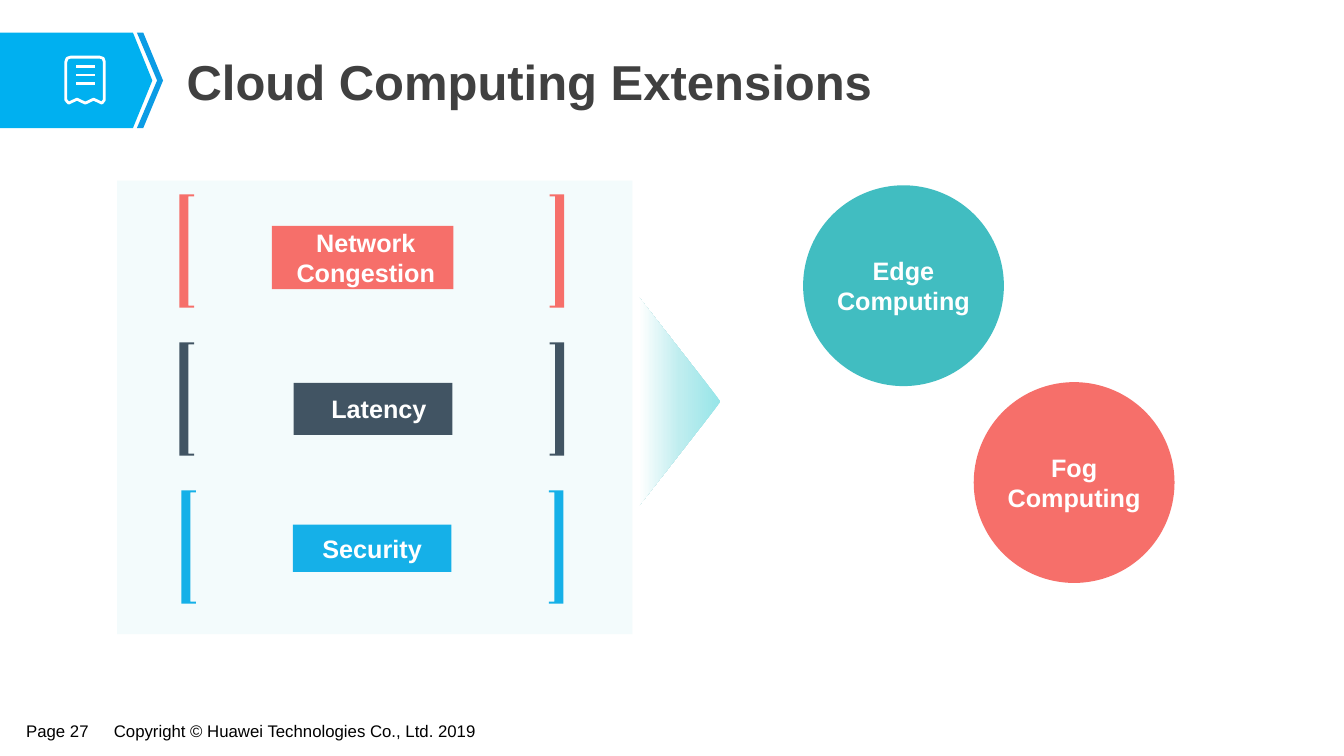
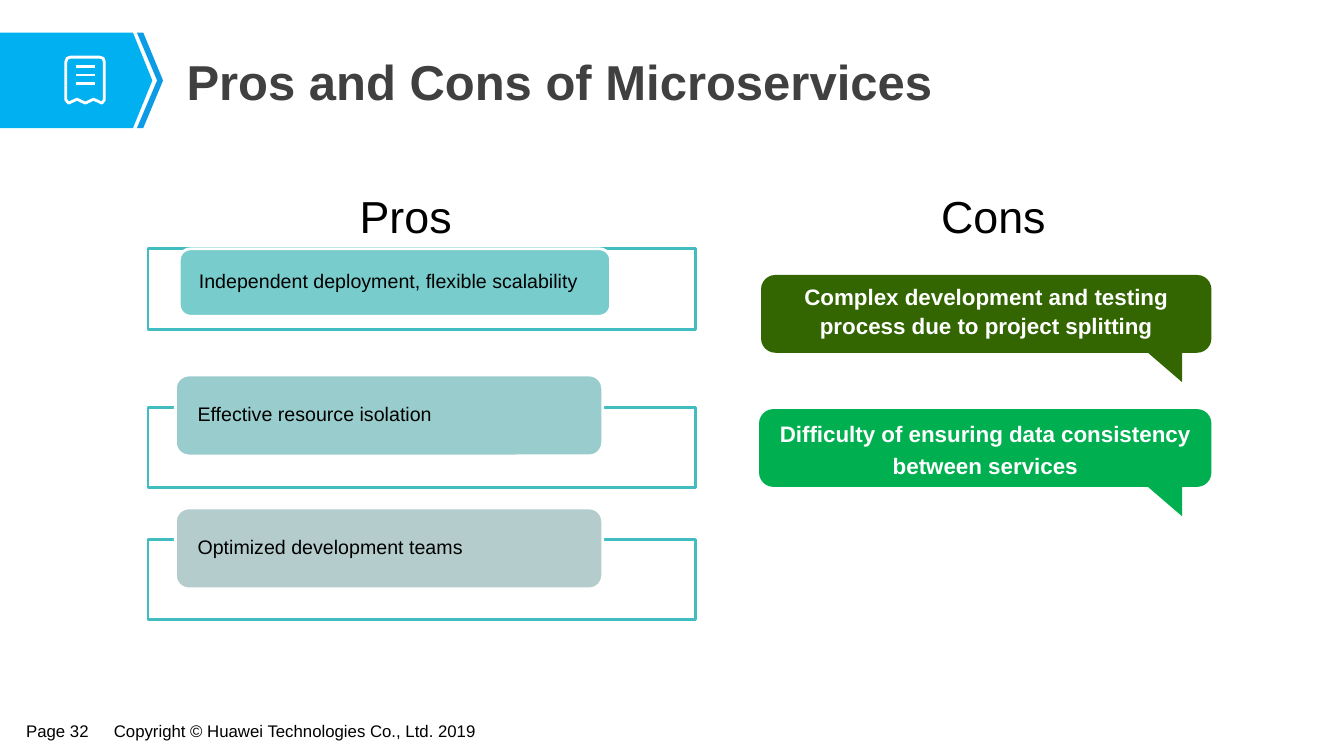
import math
from pptx import Presentation
from pptx import util as u
from pptx.dml import color
from pptx.enum import shapes, text
from pptx.oxml import parse_xml

Cm = u.Cm
NS = 'xmlns:a="http://schemas.openxmlformats.org/drawingml/2006/main"'
WHITE, BLACK, TITLE = "FFFFFF", "000000", "404040"
BAND, CHEVRON = "00B0F0", "0B9CE5"
TEAL, CORAL, SLATE, BLUE = "41BDC1", "F66F6A", "415463", "15B0E8"

COPYRIGHT = "Copyright © Huawei Technologies Co., Ltd. 2019"
TITLE_BOX = (4.42, 1.14, 27.3, 1.78)
BAND_POINTS = [(0, 0.82), (3.35, 0.82), (3.84, 2.03), (3.35, 3.23), (0, 3.23)]
CHEVRON_POINTS = [(3.45, 0.82), (3.61, 0.82), (4.11, 2.03),
                  (3.61, 3.23), (3.45, 3.23), (3.96, 2.03)]
RECEIPT_POINTS = [(1.78, 1.44), (2.51, 1.44), (2.6, 1.47), (2.63, 1.56),
                  (2.63, 2.52), (2.57, 2.6), (2.36, 2.5), (2.15, 2.6),
                  (1.94, 2.5), (1.73, 2.6), (1.66, 2.52), (1.66, 1.56), (1.69, 1.47)]
RECEIPT_LINES = [1.68, 1.89, 2.1]

PROBLEMS = [
    ("Network Congestion", CORAL, (4.52, 14.22), (6.85, 5.69, 4.58, 1.6), 0.08),
    ("Latency", SLATE, (4.52, 14.22), (7.4, 9.65, 4, 1.31), 0.15),
    ("Security", BLUE, (4.57, 14.2), (7.38, 13.22, 4, 1.19), 0),
]
BRACKET_TOP, BRACKET_PITCH, BRACKET_HEIGHT = 4.9, 3.73, 2.85
BRACKET_ARM, BRACKET_BAR, BRACKET_LIP = 0.37, 0.23, 0.05
EXTENSIONS = [
    ("Edge Computing", TEAL, 20.24, 4.67),
    ("Fog Computing", CORAL, 24.54, 9.63),
]
CIRCLE = 5.06

HEADINGS = [("Pros", 8.13), ("Cons", 22.94)]
PROS = [
    ("Independent deployment, flexible scalability", "78CCCC", 6.27, (4.52, 6.27, 10.87, 1.7), 0.41),
    ("Effective resource isolation", "99CCCC", 10.26, (4.42, 9.45, 10.77, 2.04), 0.46),
    ("Optimized development teams", "B4CCCC", 13.59, (4.42, 12.8, 10.77, 2.04), 0.46),
]
CONS = [
    ("Complex development and testing process due to project splitting", "336600", 19.18, 6.93, 1.1),
    ("Difficulty of ensuring data consistency between services", "00B050", 19.13, 10.31, 1.2),
]
CALLOUT_RIGHT, CALLOUT_HEIGHT, CALLOUT_RADIUS = 30.53, 1.96, 0.36
TAIL_LEFT, TAIL_RIGHT, TAIL_DROP = 28.93, 29.79, 0.74


def rgb(value):
    return color.RGBColor.from_string(value)


def write(shape, words, size=18, ink=WHITE, bold=False, align="CENTER", anchor="MIDDLE",
          insets=(0.25, 0.13, 0.25, 0.13), wrap=True, spacing=None):
    frame = shape.text_frame
    frame.word_wrap = wrap
    frame.auto_size = text.MSO_AUTO_SIZE.NONE
    frame.vertical_anchor = text.MSO_ANCHOR[anchor]
    frame.margin_left, frame.margin_top, frame.margin_right, frame.margin_bottom = map(Cm, insets)
    paragraph = frame.paragraphs[0]
    paragraph.alignment = text.PP_ALIGN[align]
    paragraph.line_spacing = spacing
    run = paragraph.add_run()
    run.text = words
    run.font.name, run.font.size, run.font.bold = "Arial", u.Pt(size), bold
    run.font.color.rgb = rgb(ink)


def paint(shape, fill=None, line=None, weight=2):
    shape.shadow.inherit = False
    if fill:
        shape.fill.solid()
        shape.fill.fore_color.rgb = rgb(fill)
    else:
        shape.fill.background()
    if line:
        shape.line.color.rgb = rgb(line)
        shape.line.width = u.Pt(weight)
    else:
        shape.line.fill.background()
    return shape


def block(slide, kind, box, fill, line=None):
    return paint(slide.shapes.add_shape(shapes.MSO_SHAPE[kind], *map(Cm, box)), fill, line)


def outline(slide, points, fill=None, line=None):
    start, *rest = [(Cm(x), Cm(y)) for x, y in points]
    builder = slide.shapes.build_freeform(*start)
    builder.add_line_segments(rest, close=True)
    return paint(builder.convert_to_shape(), fill, line)


def label(slide, words, box, **style):
    holder = slide.shapes.add_textbox(*map(Cm, box))
    write(holder, words, **style)
    return holder


def footer(slide, words, left, width):
    return label(slide, words, (left, 18.06, width, 0.74), size=12, ink=BLACK, align="LEFT",
                 anchor="TOP", insets=(0.23, 0.1, 0.23, 0.1), wrap=False)


def rule(slide, left, right, y):
    line = slide.shapes.add_connector(shapes.MSO_CONNECTOR.STRAIGHT, Cm(left), Cm(y), Cm(right), Cm(y))
    line.line.color.rgb = rgb(WHITE)
    line.line.width = u.Pt(2)
    line.element.spPr.append(parse_xml(f"<a:effectLst {NS}/>"))
    return line


def furnish(layout, slide):
    parts = [
        outline(slide, BAND_POINTS, BAND),
        outline(slide, CHEVRON_POINTS, CHEVRON),
        outline(slide, RECEIPT_POINTS, line=WHITE),
        *[rule(slide, 1.92, 2.4, y) for y in RECEIPT_LINES],
        footer(slide, COPYRIGHT, 2.64, 9.63),
    ]
    for number, part in enumerate(parts, 100):
        part.element.xpath(".//p:cNvPr")[0].set("id", str(number))
        layout.shapes.element.append(part.element)


def new_slide(deck, layout, title, page):
    slide = deck.slides.add_slide(layout)
    heading = slide.shapes.title
    heading.left, heading.top, heading.width, heading.height = map(Cm, TITLE_BOX)
    write(heading, title, size=35, ink=TITLE, bold=True, align="LEFT", insets=(0.28, 0.15, 0.28, 0.15))
    footer(slide, f"Page {page}", 0.43, 2.13)
    return slide


def bracket(slide, edge, top, direction, fill):
    arm, bar = edge + direction * BRACKET_ARM, edge + direction * BRACKET_BAR
    bottom = top + BRACKET_HEIGHT
    outline(slide, [(edge, top), (arm, top), (arm, top + BRACKET_LIP), (bar, top + BRACKET_LIP),
                    (bar, bottom - BRACKET_LIP), (arm, bottom - BRACKET_LIP),
                    (arm, bottom), (edge, bottom)], fill)


def extensions(slide):
    block(slide, "RECTANGLE", (2.95, 4.55, 12.99, 11.43), "F3FBFC")
    for row, (words, fill, (left, right), box, nudge) in enumerate(PROBLEMS):
        top = BRACKET_TOP + row * BRACKET_PITCH
        bracket(slide, left, top, 1, fill)
        bracket(slide, right, top, -1, fill)
        write(block(slide, "RECTANGLE", box, fill), words, bold=True,
              insets=(0.25 + nudge, 0, 0.25 - nudge, 0))

    arrow = block(slide, "ISOSCELES_TRIANGLE", (14.5, 9.09, 5.26, 2.06), WHITE)
    arrow.rotation = 90
    stops = "".join(f'<a:gs pos="{at * 1000}"><a:srgbClr val="{tint}"/></a:gs>'
                    for at, tint in [(0, "96E5E8"), (50, "BFEDEF"), (100, WHITE)])
    properties = arrow.element.spPr
    properties.replace(properties.xpath("a:solidFill")[0], parse_xml(
        f'<a:gradFill {NS} rotWithShape="1"><a:gsLst>{stops}</a:gsLst>'
        '<a:lin ang="5400000" scaled="0"/></a:gradFill>'))

    for words, fill, left, top in EXTENSIONS:
        write(block(slide, "OVAL", (left, top, CIRCLE, CIRCLE), fill), words, bold=True,
              insets=(0.1, 0.13, 0.1, 0.13))


def corner(x, y, start):
    angles = [math.radians(start + step * 15) for step in range(7)]
    return [(x + CALLOUT_RADIUS * math.cos(a), y + CALLOUT_RADIUS * math.sin(a)) for a in angles]


def callout(slide, left, top, fill):
    bottom = top + CALLOUT_HEIGHT
    west, east = left + CALLOUT_RADIUS, CALLOUT_RIGHT - CALLOUT_RADIUS
    north, south = top + CALLOUT_RADIUS, bottom - CALLOUT_RADIUS
    tail = [(TAIL_RIGHT, bottom), (TAIL_RIGHT, bottom + TAIL_DROP), (TAIL_LEFT, bottom)]
    return outline(slide, corner(west, north, 180) + corner(east, north, 270)
                   + corner(east, south, 0) + tail + corner(west, south, 90), fill)


def pros_and_cons(slide):
    for words, fill, frame_top, box, indent in PROS:
        block(slide, "RECTANGLE", (3.73, frame_top, 13.79, 2.03), WHITE, TEAL)
        write(block(slide, "ROUNDED_RECTANGLE", box, fill, WHITE), words, size=14, ink=BLACK,
              align="LEFT", insets=(indent, 0, 0, 0), spacing=0.9)
    for words, left in HEADINGS:
        label(slide, words, (left, 4.62, 4.19, 1.65), size=32, ink=BLACK, anchor="TOP")
    for words, fill, left, top, spacing in CONS:
        write(callout(slide, left, top, fill), words, size=16, bold=True, anchor="TOP", spacing=spacing)


def main():
    deck = Presentation()
    deck.slide_width, deck.slide_height = Cm(33.87), Cm(19.05)
    layout = deck.slide_layouts[5]
    first = new_slide(deck, layout, "Cloud Computing Extensions", 27)
    furnish(layout, first)
    extensions(first)
    pros_and_cons(new_slide(deck, layout, "Pros and Cons of Microservices", 32))
    deck.save("out.pptx")


if __name__ == "__main__":
    main()
